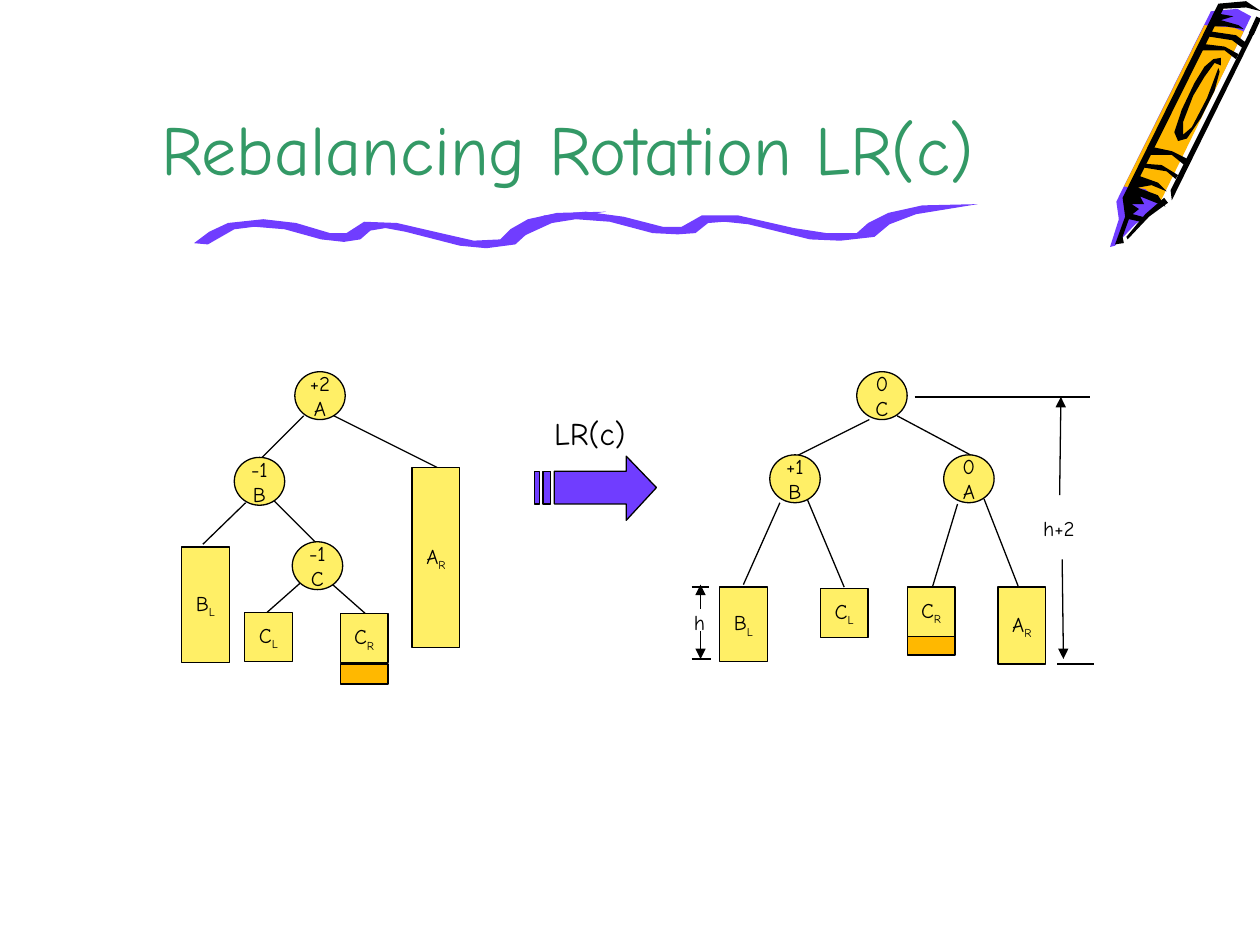
from lxml import etree
from pptx import Presentation, util as u
from pptx.dml import color
from pptx.enum import shapes, text
from pptx.oxml import ns

FONT = "Comic Neue"
BLACK, VIOLET, ORANGE, YELLOW, GREEN = "000000", "703DFF", "FFB800", "FFEF66", "339966"

PENCIL = [
    (VIOLET, [(113, 13), (37, 166), (21, 178), (5, 195), (1, 196), (8, 174), (6, 160), (81, 9),
              (102, 7)]),
    (ORANGE, [(41, 160), (29, 150), (12, 148), (76, 20), (99, 22), (107, 25)]),
    (BLACK, [(47, 161), (32, 172), (15, 190), (14, 188), (29, 170), (44, 157)]),
    (BLACK, [(107, 23), (93, 21), (81, 21), (88, 11), (99, 13), (89, 16), (103, 20)]),
    (BLACK, [(88, 57), (84, 72), (73, 94), (62, 110), (55, 112), (52, 105), (58, 87), (68, 66),
             (76, 53), (83, 47), (89, 46), (89, 52), (84, 50), (76, 61), (67, 76), (59, 97),
             (59, 107), (66, 101), (78, 78), (87, 54)]),
    (BLACK, [(117, 23), (50, 159), (49, 151), (113, 23)]),
    (BLACK, [(45, 164), (39, 155), (23, 149), (34, 147), (46, 152), (39, 145), (25, 140), (91, 7),
             (109, 6), (121, 9), (109, 1), (87, 3), (11, 157), (13, 172), (5, 194), (12, 193),
             (11, 188), (16, 174), (25, 176), (30, 173), (19, 170), (24, 166), (18, 162),
             (28, 162), (25, 156)]),
    (BLACK, [(53, 142), (46, 136), (28, 133), (29, 130), (42, 131), (55, 139)]),
    (BLACK, [(60, 131), (50, 123), (33, 123), (36, 117), (50, 120), (62, 126)]),
    (BLACK, [(101, 47), (92, 40), (73, 40), (76, 35), (92, 37), (103, 43)]),
    (BLACK, [(106, 38), (98, 32), (79, 29), (81, 25), (101, 28), (109, 34)]),
]
WAVES = [
    [(11, 32), (32, 20), (48, 18), (72, 20), (101, 28), (119, 30), (132, 28), (140, 21), (152, 19),
     (168, 22), (211, 33), (232, 35), (255, 32), (266, 22), (284, 13), (327, 6), (288, 7),
     (265, 12), (251, 20), (243, 28), (222, 29), (200, 24), (161, 15), (135, 14), (121, 23),
     (108, 23), (81, 15), (55, 12), (27, 15), (12, 22), (0, 31)],
    [(260, 26), (284, 15), (303, 12), (330, 14), (364, 23), (384, 24), (398, 23), (408, 15),
     (421, 14), (440, 16), (489, 28), (513, 29), (540, 26), (552, 16), (573, 8), (622, 0),
     (578, 1), (551, 7), (535, 15), (526, 23), (502, 23), (476, 19), (432, 9), (403, 9),
     (387, 18), (372, 18), (341, 10), (311, 6), (278, 9), (261, 16), (247, 26)],
]
ARROW = [
    [(16, 12), (73, 12), (73, 0), (97, 25), (73, 51), (73, 38), (16, 38)],
    [(0, 12), (4, 12), (4, 38), (0, 38)],
    [(7, 12), (13, 12), (13, 38), (7, 38)],
]


def dist(n):
    """Return a length of n hundredths of an inch."""
    return u.Cm(n * 0.0254)


def hue(code):
    """Return the colour for a hex string."""
    return color.RGBColor.from_string(code)


def paint(shape, fill, edge=None):
    """Give a shape a flat fill and an optional thin edge."""
    shape.shadow.inherit = False
    shape.fill.solid()
    shape.fill.fore_color.rgb = hue(fill)
    if edge:
        shape.line.color.rgb = hue(edge)
        shape.line.width = u.Pt(0.75)
    else:
        shape.line.fill.background()


def style(para, size, tint=BLACK, align=text.PP_ALIGN.CENTER):
    """Set the font and alignment of a paragraph."""
    para.alignment = align
    para.font.name = FONT
    para.font.size = u.Pt(size)
    para.font.color.rgb = hue(tint)


def label(slide, box, words, size, tint=BLACK, align=text.PP_ALIGN.LEFT,
          anchor=text.MSO_ANCHOR.TOP):
    """Place a line of text in a box."""
    frame = slide.shapes.add_textbox(*map(dist, box)).text_frame
    frame.word_wrap = True
    frame.vertical_anchor = anchor
    frame.text = words
    style(frame.paragraphs[0], size, tint, align)


def line(slide, x, y, ends, head=False, width=0.75):
    """Draw a black line, with an arrowhead at its end if asked."""
    x1, y1, x2, y2 = ends
    link = slide.shapes.add_connector(
        shapes.MSO_CONNECTOR.STRAIGHT, dist(x + x1), dist(y + y1), dist(x + x2), dist(y + y2))
    link.line.color.rgb = hue(BLACK)
    link.line.width = u.Pt(width)
    if head:
        etree.SubElement(link.line._get_or_add_ln(), ns.qn("a:tailEnd"), type="triangle")
    etree.SubElement(link._element.spPr, ns.qn("a:effectLst"))


def draw(slide, x, y, loops, fill, edge=None):
    """Draw closed outlines as one freeform."""
    pen = slide.shapes.build_freeform(*loops[0][0], scale=dist(100) / 100)
    for i, loop in enumerate(loops):
        if i:
            pen.move_to(*loop[0])
        pen.add_line_segments(loop[1:], close=True)
    paint(pen.convert_to_shape(dist(x), dist(y)), fill, edge)


def cell(slide, kind, box, fill=YELLOW):
    """Draw an outlined tree part and return its text frame."""
    shape = slide.shapes.add_shape(kind, *map(dist, box))
    paint(shape, fill, BLACK)
    frame = shape.text_frame
    frame.word_wrap = False
    frame.vertical_anchor = text.MSO_ANCHOR.MIDDLE
    return frame


def tree(slide, x, y, nodes, leaves, extra, edges):
    """Draw a tree of balanced nodes, subtree boxes and edges."""
    for ends in edges:
        line(slide, x, y, ends)
    for left, top, score, name in nodes:
        frame = cell(slide, shapes.MSO_SHAPE.OVAL, (x + left, y + top, 40, 38))
        frame.text = f"{score}\n{name}"
        for para in frame.paragraphs:
            style(para, 12)
    left, top, high = extra
    cell(slide, shapes.MSO_SHAPE.RECTANGLE, (x + left, y + top, 38, high), ORANGE)
    for left, top, high, name, side in leaves:
        frame = cell(slide, shapes.MSO_SHAPE.RECTANGLE, (x + left, y + top, 38, high))
        para = frame.paragraphs[0]
        para.add_run().text = name
        sub = para.add_run()
        sub.text = side
        sub.font._element.set("baseline", "-25000")
        style(para, 12)


def gauge(slide, x, y, ticks, arrows, box, words):
    """Draw a height mark with ticks, arrows and a label."""
    for ends in ticks:
        line(slide, x, y, ends)
    for ends in arrows:
        line(slide, x, y, ends, head=True)
    left, top, wide, high = box
    label(slide, (x + left, y + top, wide, high), words, 12)


def decor(slide, x, y):
    """Draw the crayon and the wavy rule under the title."""
    for fill, loop in PENCIL:
        draw(slide, x + 880, y, [loop], fill)
    line(slide, x + 880, y, (119, 14, 113, 27), width=3)
    for loop in WAVES:
        draw(slide, x + 154, y + 162, [loop], VIOLET)


def step(slide, x, y):
    """Draw the striped arrow with its caption."""
    draw(slide, x, y + 38, ARROW, VIOLET, BLACK)
    label(slide, (x + 6, y, 94, 40), "LR(c)", 18)


def main():
    """Build the slide and save it."""
    deck = Presentation()
    deck.slide_width, deck.slide_height = dist(1000), dist(750)
    slide = deck.slides.add_slide(deck.slide_layouts[6])
    decor(slide, 0, 0)
    label(slide, (75, 0, 751, 155), "Rebalancing Rotation LR(c)", 40, GREEN,
          text.PP_ALIGN.CENTER, text.MSO_ANCHOR.BOTTOM)
    tree(slide, 144, 295,
         [(90, 0, "+2", "A"), (42, 68, "-1", "B"), (88, 135, "-1", "C")],
         [(0, 139, 92, "B", "L"), (50, 191, 39, "C", "L"), (126, 192, 39, "C", "R"),
          (183, 76, 143, "A", "R")],
         (126, 232, 16),
         [(97, 35, 64, 68), (73, 102, 106, 135), (51, 104, 17, 137), (94, 168, 68, 191),
          (120, 169, 146, 192), (121, 35, 203, 76)])
    step(slide, 424, 324)
    tree(slide, 571, 295,
         [(109, 0, "0", "C"), (40, 66, "+1", "B"), (178, 66, "0", "A")],
         [(0, 171, 59, "B", "L"), (80, 172, 39, "C", "L"), (149, 171, 39, "C", "R"),
          (221, 171, 61, "A", "R")],
         (149, 208, 17),
         [(119, 38, 57, 69), (141, 35, 201, 67), (48, 104, 19, 169), (70, 102, 99, 171),
          (189, 105, 169, 171), (237, 170, 210, 101)])
    gauge(slide, 726, 315, [(0, 0, 139, 0), (113, 212, 142, 212)],
          [(115, 78, 116, 0), (117, 129, 118, 208)], (92, 89, 49, 30), "h+2")
    gauge(slide, 541, 464, [(8, 2, 22, 2), (8, 59, 23, 59)],
          [(15, 37, 15, 59), (15, 19, 15, 0)], (0, 15, 27, 30), "h")
    deck.save("out.pptx")


if __name__ == "__main__":
    main()
